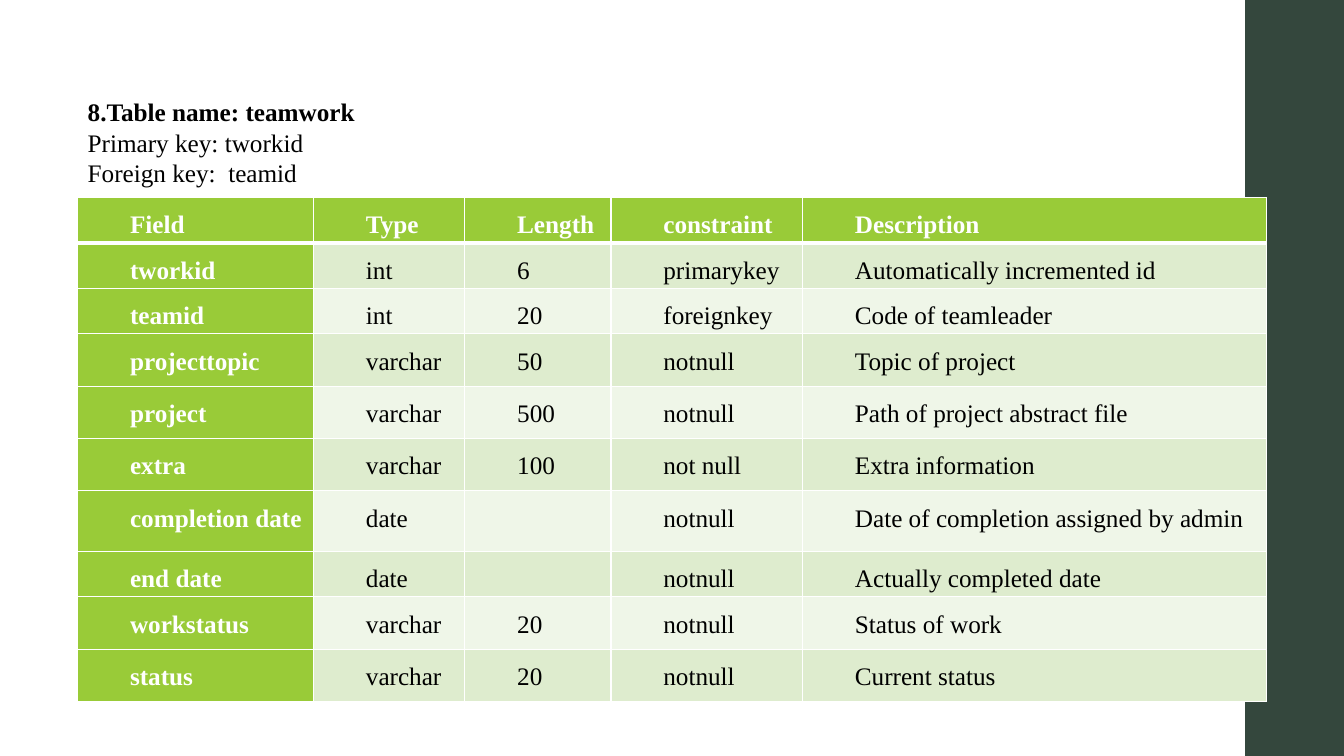
from lxml import etree
from pptx import Presentation
from pptx.dml.color import RGBColor
from pptx.enum import shapes, text
from pptx.oxml import ns
from pptx.util import Inches, Pt

FONT = "Times New Roman"
GREEN, WHITE, BLACK, SIDEBAR = "99CB38", "FFFFFF", "000000", "34473D"
BANDS = ("DEECCE", "EFF6E8")
COL_WIDTHS = (2.34, 1.5, 1.45, 1.9, 4.6)
ROW_HEIGHTS = (0.45, 0.3, 0.3, 0.52, 0.52, 0.52, 0.6, 0.3, 0.52, 0.52)
FIELDS = (
    ("Field", "Type", "Length", "constraint", "Description"),
    ("tworkid", "int", "6", "primarykey", "Automatically incremented id"),
    ("teamid", "int", "20", "foreignkey", "Code of teamleader"),
    ("projecttopic", "varchar", "50", "notnull", "Topic of project"),
    ("project", "varchar", "500", "notnull", "Path of project abstract file"),
    ("extra", "varchar", "100", "not null", "Extra information"),
    ("completion date", "date", "", "notnull", "Date of completion assigned by admin"),
    ("end date", "date", "", "notnull", "Actually completed date"),
    ("workstatus", "varchar", "20", "notnull", "Status of work"),
    ("status", "varchar", "20", "notnull", "Current status"),
)


def rgb(value):
    """Turn a hex string into a colour."""
    return RGBColor.from_string(value)


def set_font(p, color, bold):
    """Give a paragraph the slide's font."""
    p.font.name, p.font.size, p.font.bold = FONT, Pt(18), bold
    p.font.color.rgb = rgb(color)


def set_borders(cell, bottom):
    """Draw white cell borders, with the bottom width in points."""
    tcPr = cell._tc.get_or_add_tcPr()
    for side, width in (("L", 1), ("R", 1), ("T", 1), ("B", bottom)):
        ln = etree.SubElement(tcPr, ns.qn(f"a:ln{side}"), w=str(Pt(width)))
        fill = etree.SubElement(ln, ns.qn("a:solidFill"))
        etree.SubElement(fill, ns.qn("a:srgbClr"), val=WHITE)


def add_sidebar(s):
    """Add the dark band on the right edge."""
    sp = s.shapes.add_shape(shapes.MSO_SHAPE.RECTANGLE, Inches(12.35), 0,
                            Inches(1), Inches(7.5))
    sp.shadow.inherit = False
    sp.fill.solid()
    sp.fill.fore_color.rgb = rgb(SIDEBAR)
    sp.line.fill.background()


def add_heading(s, lines):
    """Put the table name and its keys in the title."""
    sp = s.shapes.title
    sp.left, sp.top, sp.width, sp.height = map(Inches, (0.77, 0.91, 8.73, 1.01))
    tf = sp.text_frame
    tf.text = "\n".join(lines)
    tf.word_wrap = True
    tf.auto_size = text.MSO_AUTO_SIZE.SHAPE_TO_FIT_TEXT
    tf.vertical_anchor = text.MSO_ANCHOR.TOP
    for i, p in enumerate(tf.paragraphs):
        p.alignment = text.PP_ALIGN.LEFT
        set_font(p, BLACK, i == 0)


def format_cell(cell, row, col):
    """Format a cell by its place in the table."""
    header = row == 0 or col == 0
    set_borders(cell, 3 if row == 0 else 1)
    cell.fill.solid()
    cell.fill.fore_color.rgb = rgb(GREEN if header else BANDS[(row - 1) % 2])
    cell.margin_left = cell.margin_right = Inches(0.02)
    cell.margin_top = cell.margin_bottom = 0
    p = cell.text_frame.paragraphs[0]
    p._p.get_or_add_pPr().set("marL", str(Inches(0.5)))
    p.alignment = text.PP_ALIGN.JUSTIFY
    p.line_spacing = 1.5
    if col == len(COL_WIDTHS) - 1:
        p.space_after = Pt(10)
    set_font(p, WHITE if header else BLACK, header)


def add_field_table(s):
    """Add the table of fields."""
    table = s.shapes.add_table(
        len(FIELDS), len(COL_WIDTHS), Inches(0.77), Inches(1.96),
        Inches(sum(COL_WIDTHS)), Inches(sum(ROW_HEIGHTS))).table
    table.first_col = True
    for column, width in zip(table.columns, COL_WIDTHS):
        column.width = Inches(width)
    for row, (values, height) in enumerate(zip(FIELDS, ROW_HEIGHTS)):
        table.rows[row].height = Inches(height)
        for col, value in enumerate(values):
            cell = table.cell(row, col)
            cell.text = value
            format_cell(cell, row, col)


def main():
    """Build the slide and save it."""
    prs = Presentation()
    prs.slide_width, prs.slide_height = Inches(13.33), Inches(7.5)
    s = prs.slides.add_slide(prs.slide_layouts[5])
    add_sidebar(s)
    add_field_table(s)
    add_heading(s, ("8.Table name: teamwork", "Primary key: tworkid",
                    "Foreign key:  teamid"))
    prs.save("out.pptx")


if __name__ == "__main__":
    main()
